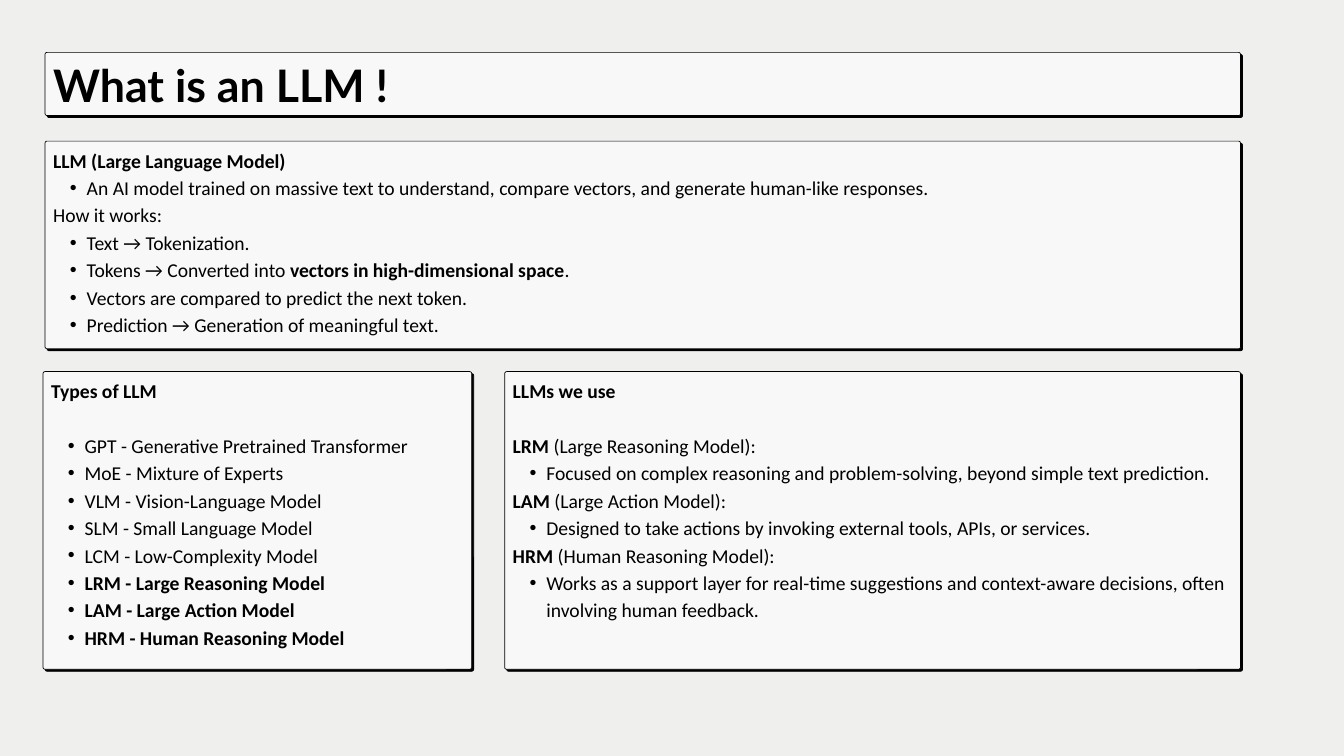
from collections import namedtuple
from dataclasses import dataclass

from lxml import etree
from pptx import Presentation
from pptx import util as u
from pptx.dml.color import RGBColor
from pptx.enum import shapes, text
from pptx.oxml.ns import qn

Box = namedtuple("Box", "left top width height")
Line = namedtuple("Line", "level runs")


@dataclass(frozen=True)
class Theme:
    paper: RGBColor = RGBColor(0xEF, 0xEF, 0xEE)
    face: RGBColor = RGBColor(0xF8, 0xF8, 0xF8)
    ink: RGBColor = RGBColor(0, 0, 0)
    title_font: str = "Lato"
    body_font: str = "Calibri"
    title_size: float = 48
    title_leading: float = 56.6
    body_size: float = 21
    body_leading: float = 29.4
    outline: float = 0.75


THEME = Theme()

SLIDE_WIDTH, SLIDE_HEIGHT = u.Inches(20), u.Inches(11.25)
COLUMNS, ROWS = 200, 112.5
COLUMN, ROW = SLIDE_WIDTH / COLUMNS, SLIDE_HEIGHT / ROWS
SHADOW_OFFSET = 0.3
CORNER = 0.3
INSET = 1.2

LEFT, RIGHT = 6.7, 184.6
HEADER = Box(LEFT, 7.8, RIGHT - LEFT, 9.4)
OVERVIEW = Box(LEFT, 21, RIGHT - LEFT, 30.9)
TYPES = Box(6.4, 55.3, 63.8, 44.3)
IN_USE = Box(75.1, TYPES.top, RIGHT - 75.1, TYPES.height)


def head(words):
    return Line(0, [(words, True)])


def plain(words):
    return Line(0, [(words, False)])


def bullet(words, bold=False):
    return Line(1, [(words, bold)])


def model(short, full):
    return Line(0, [(short, True), (f" ({full}):", False)])


OVERVIEW_LINES = [
    head("LLM (Large Language Model)"),
    bullet("An AI model trained on massive text to understand, compare vectors, "
           "and generate human-like responses."),
    plain("How it works:"),
    bullet("Text → Tokenization."),
    Line(1, [("Tokens → Converted into ", False),
             ("vectors in high-dimensional space", True), (".", False)]),
    bullet("Vectors are compared to predict the next token."),
    bullet("Prediction → Generation of meaningful text."),
]

TYPES_LINES = [
    head("Types of LLM"),
    bullet("GPT - Generative Pretrained Transformer"),
    bullet("MoE - Mixture of Experts"),
    bullet("VLM - Vision-Language Model"),
    bullet("SLM - Small Language Model"),
    bullet("LCM - Low-Complexity Model"),
    bullet("LRM - Large Reasoning Model", True),
    bullet("LAM - Large Action Model", True),
    bullet("HRM - Human Reasoning Model", True),
]

IN_USE_LINES = [
    head("LLMs we use"),
    model("LRM", "Large Reasoning Model"),
    bullet("Focused on complex reasoning and problem-solving, beyond simple text prediction."),
    model("LAM", "Large Action Model"),
    bullet("Designed to take actions by invoking external tools, APIs, or services."),
    model("HRM", "Human Reasoning Model"),
    bullet("Works as a support layer for real-time suggestions and context-aware decisions, "
           "often involving human feedback."),
]


def place(box):
    return (round(box.left * COLUMN), round(box.top * ROW),
            round(box.width * COLUMN), round(box.height * ROW))


def draw_card(slide, box):
    shadow = box._replace(left=box.left + SHADOW_OFFSET, top=box.top + SHADOW_OFFSET)
    for area, color in ((shadow, THEME.ink), (box, THEME.face)):
        layer = slide.shapes.add_shape(shapes.MSO_SHAPE.ROUNDED_RECTANGLE, *place(area))
        layer.adjustments[0] = CORNER / min(area.width, area.height)
        layer.shadow.inherit = False
        layer.fill.solid()
        layer.fill.fore_color.rgb = color
        layer.line.color.rgb = THEME.ink
        layer.line.width = u.Pt(THEME.outline)


def prepare_frame(frame):
    frame.word_wrap = True
    frame.auto_size = text.MSO_AUTO_SIZE.NONE
    frame.vertical_anchor = text.MSO_ANCHOR.TOP
    frame.margin_left = frame.margin_top = frame.margin_right = frame.margin_bottom = 0


def write_run(paragraph, words, font, size, bold):
    run = paragraph.add_run()
    run.text = words
    run.font.name = font
    run.font.size = u.Pt(size)
    run.font.bold = bold
    run.font.color.rgb = THEME.ink


def mark_bullet(paragraph):
    properties = paragraph._p.get_or_add_pPr()
    properties.set("marL", str(u.Inches(0.5)))
    properties.set("indent", str(u.Inches(-0.25)))
    etree.SubElement(properties, qn("a:buFont")).set("typeface", "Arial")
    etree.SubElement(properties, qn("a:buChar")).set("char", "•")


def draw_header(slide, box, words):
    draw_card(slide, box)
    title = slide.shapes.title
    slide.shapes._spTree.append(title._element)
    title.left, title.top, title.width, title.height = place(
        Box(box.left + INSET, box.top + 1, box.width - 2 * INSET, box.height - 1.6))
    prepare_frame(title.text_frame)
    paragraph = title.text_frame.paragraphs[0]
    paragraph.alignment = text.PP_ALIGN.LEFT
    paragraph.line_spacing = u.Pt(THEME.title_leading)
    write_run(paragraph, words, THEME.title_font, THEME.title_size, True)


def draw_panel(slide, box, lines, gap_after_heading=0):
    draw_card(slide, box)
    body = slide.shapes.add_textbox(*place(
        Box(box.left + INSET, box.top + 0.5, box.width - 1.5 * INSET, box.height - 1)))
    frame = body.text_frame
    prepare_frame(frame)
    for index, line in enumerate(lines):
        paragraph = frame.add_paragraph() if index else frame.paragraphs[0]
        paragraph.level = line.level
        paragraph.alignment = text.PP_ALIGN.LEFT
        paragraph.line_spacing = u.Pt(THEME.body_leading)
        paragraph.space_after = u.Pt(0 if index else gap_after_heading)
        if line.level:
            mark_bullet(paragraph)
        for words, bold in line.runs:
            write_run(paragraph, words, THEME.body_font, THEME.body_size, bold)


def main():
    deck = Presentation()
    deck.slide_width, deck.slide_height = SLIDE_WIDTH, SLIDE_HEIGHT
    slide = deck.slides.add_slide(deck.slide_layouts[5])
    slide.background.fill.solid()
    slide.background.fill.fore_color.rgb = THEME.paper

    draw_header(slide, HEADER, "What is an LLM !")
    draw_panel(slide, OVERVIEW, OVERVIEW_LINES)
    draw_panel(slide, TYPES, TYPES_LINES, THEME.body_leading)
    draw_panel(slide, IN_USE, IN_USE_LINES, THEME.body_leading)
    deck.save("out.pptx")


if __name__ == "__main__":
    main()
